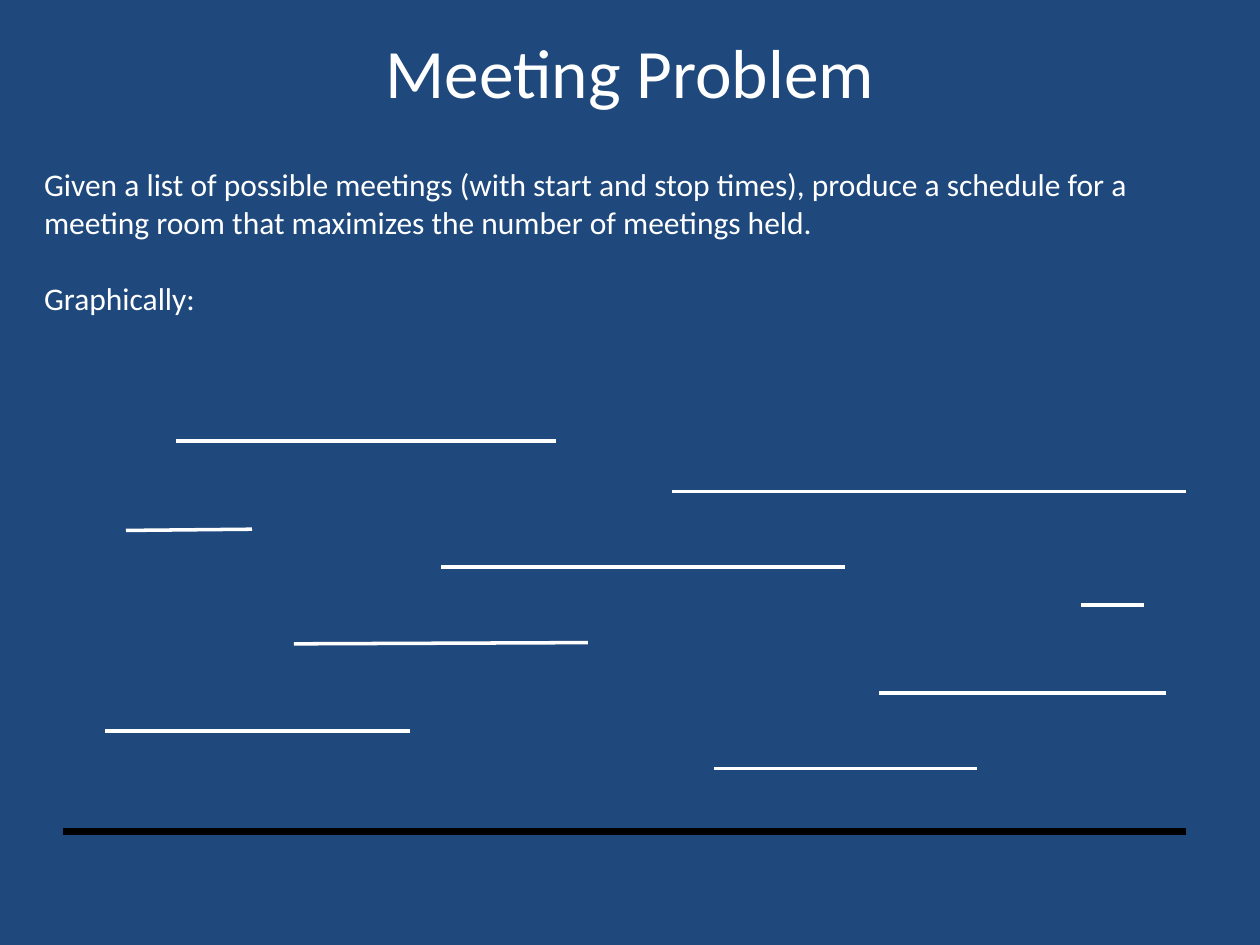
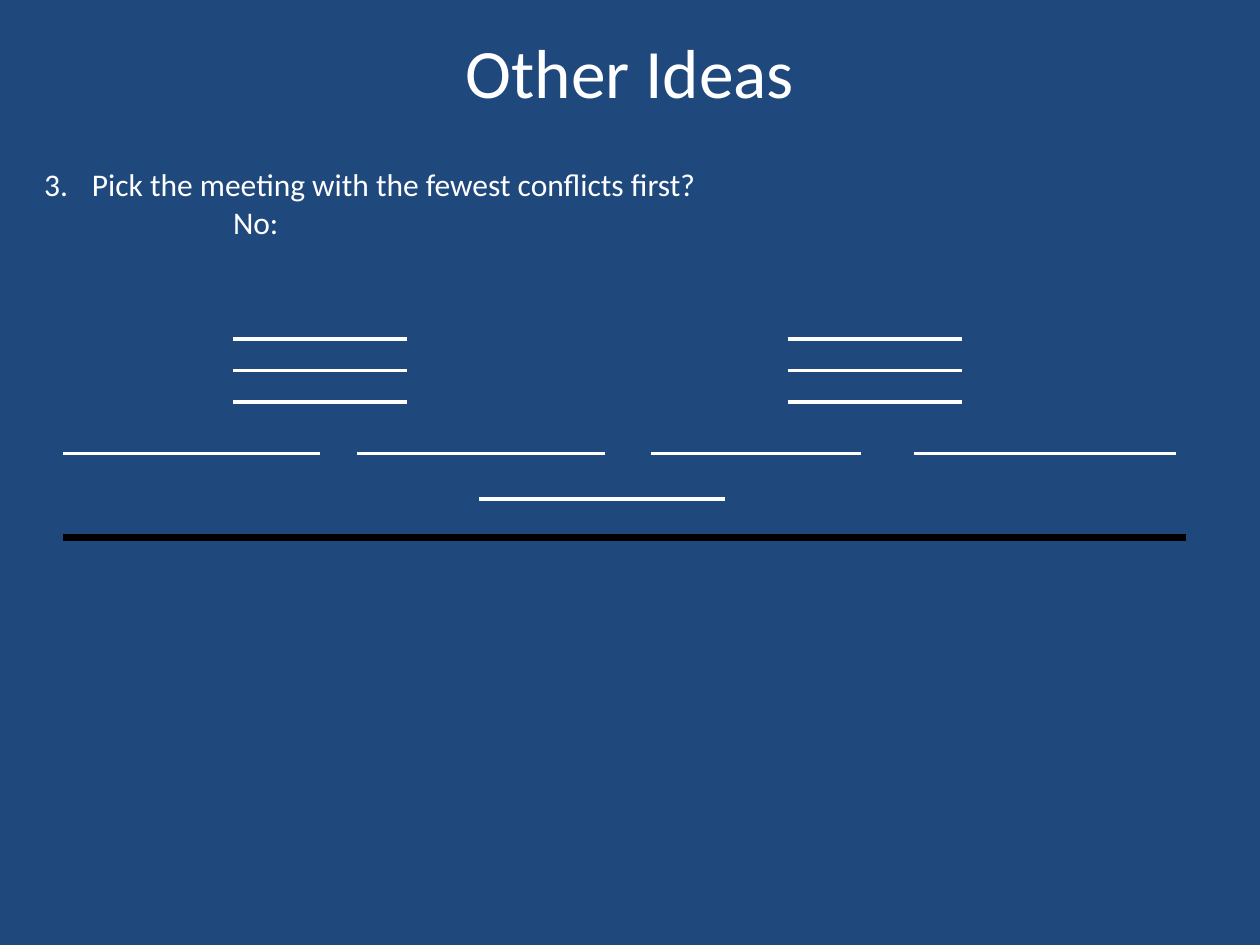
from typing import NamedTuple

from lxml.etree import SubElement
from pptx import Presentation
from pptx.dml.color import RGBColor
from pptx.enum.shapes import MSO_CONNECTOR
from pptx.enum.text import MSO_ANCHOR, MSO_AUTO_SIZE, PP_ALIGN
from pptx.oxml.ns import qn
from pptx.util import Inches, Pt

WIDE, HIGH = Inches(10), Inches(7.5)
COLS, ROWS = 120, 75
FONT, BACK, WHITE, BLACK = "Calibri", "1F497D", "FFFFFF", "000000"


class Span(NamedTuple):
    """A meeting drawn on the grid, from column `start` to `stop`."""
    start: float
    stop: float
    row: float
    rise: float = 0
    color: str = WHITE
    width: float = 2


class Para(NamedTuple):
    text: str
    left: float = 0
    hang: float = 0
    level: int = 0
    before: float = 0
    number: int = 0


def rgb(code: str) -> RGBColor:
    return RGBColor.from_string(code)


def col(count: float) -> int:
    return round(WIDE * count / COLS)


def row(count: float) -> int:
    return round(HIGH * count / ROWS)


def place(shape, left: float, top: float, wide: float, high: float) -> None:
    shape.left, shape.top = col(left), row(top)
    shape.width, shape.height = col(wide), row(high)


def write(para, text: str, size: float) -> None:
    run = para.add_run()
    run.text = text
    run.font.name, run.font.size = FONT, Pt(size)
    run.font.color.rgb = rgb(WHITE)


def list_out(frame, paras: list[Para]) -> None:
    frame.word_wrap = True
    frame.auto_size = MSO_AUTO_SIZE.SHAPE_TO_FIT_TEXT
    for i, item in enumerate(paras):
        para = frame.add_paragraph() if i else frame.paragraphs[0]
        para.level = item.level
        para.space_before = Pt(item.before)
        props = para._p.get_or_add_pPr()
        props.set("marL", str(Inches(item.left)))
        props.set("indent", str(-Inches(item.hang)))
        if item.number:
            SubElement(props, qn("a:buFont"), typeface="+mj-lt")
            SubElement(props, qn("a:buAutoNum"), type="arabicPeriod",
                       startAt=str(item.number))
        else:
            SubElement(props, qn("a:buNone"))
        write(para, item.text, 18)


def draw(slide, span: Span) -> None:
    line = slide.shapes.add_connector(
        MSO_CONNECTOR.STRAIGHT, col(span.start), row(span.row),
        col(span.stop), row(span.row - span.rise))
    line.line.color.rgb = rgb(span.color)
    line.line.width = Pt(span.width)
    SubElement(line._element.spPr, qn("a:effectLst"))


def add_page(deck, title: str, paras: list[Para], high: float,
             axis: float, spans: list[Span]) -> None:
    """Add a slide with title, text, time axis and meetings."""
    slide = deck.slides.add_slide(deck.slide_layouts[1])
    head, body = slide.placeholders
    place(head, 6, 1.7, 108, 7.8)
    head.text_frame.vertical_anchor = MSO_ANCHOR.MIDDLE
    head.text_frame.auto_size = MSO_AUTO_SIZE.NONE
    para = head.text_frame.paragraphs[0]
    para.alignment = PP_ALIGN.CENTER
    write(para, title, 39.6)
    place(body, 3, 12.6, 113, high)
    list_out(body.text_frame, paras)
    for span in [Span(6, 113, axis, color=BLACK, width=4), *spans]:
        draw(slide, span)


def main() -> None:
    deck = Presentation()
    deck.slide_width, deck.slide_height = WIDE, HIGH
    fill = deck.slide_master.background.fill
    fill.solid()
    fill.fore_color.rgb = rgb(BACK)

    add_page(deck, "Meeting Problem", [
        Para("Given a list of possible meetings (with start and stop times), "
             "produce a schedule for a meeting room that maximizes the "
             "number of meetings held."),
        Para("Graphically:", before=22),
    ], 13.1, 66, [
        Span(16.8, 53, 35), Span(64, 113, 39), Span(12, 24, 42.1, 0.1),
        Span(42, 80.5, 45), Span(103, 109, 48), Span(28, 56, 51.1, 0.1),
        Span(83.75, 111, 55), Span(10, 39, 58), Span(68, 93, 61),
    ])

    stacks = [Span(left, left + 16.6, 26.9 + 2.5 * i)
              for left in (22.2, 75) for i in range(3)]
    chain = [Span(start, stop, 36) for start, stop in
             ((6, 30.5), (34, 57.6), (62, 82), (87, 112))]
    add_page(deck, "Other Ideas", [
        Para("Pick the meeting with the fewest conflicts first?",
             left=0.38, hang=0.38, number=3),
        Para("No:", left=1.5, level=1),
    ], 7.1, 42.7, [*stacks, *chain, Span(45.6, 69, 39.6)])

    deck.save("out.pptx")


if __name__ == "__main__":
    main()
